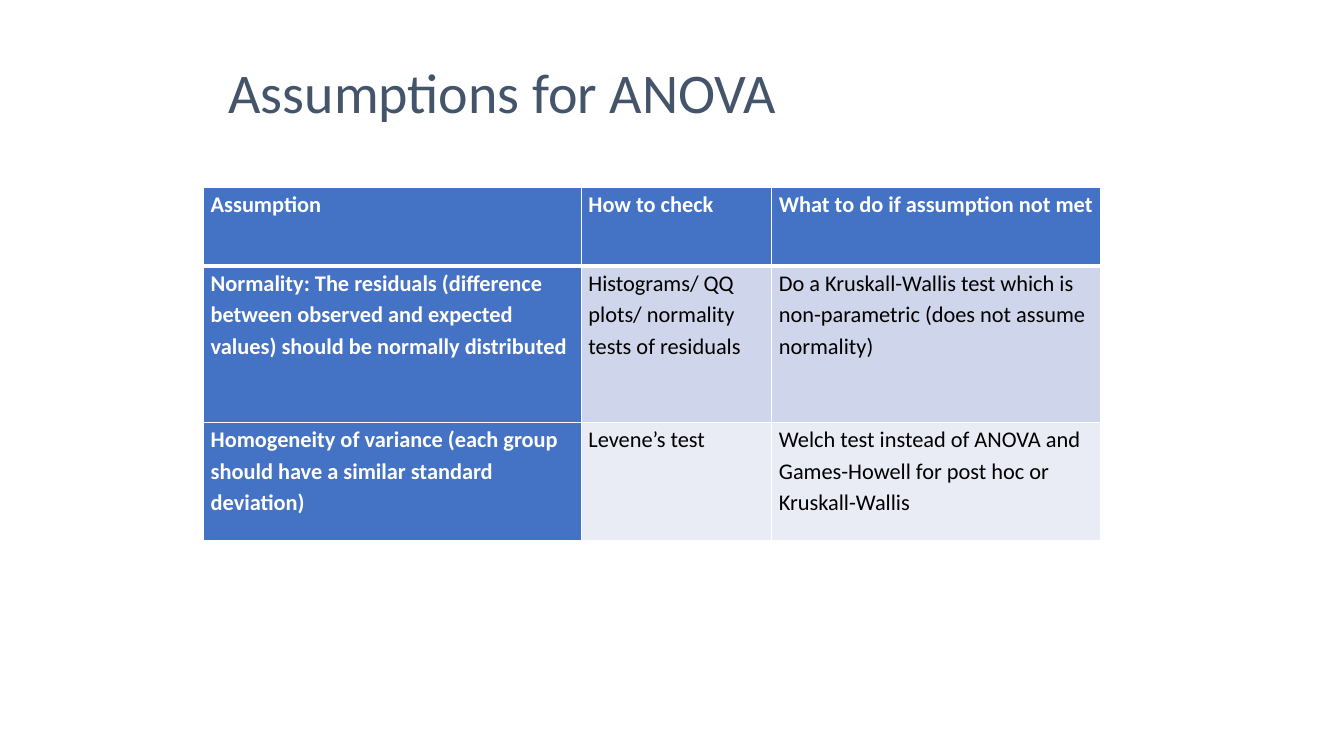
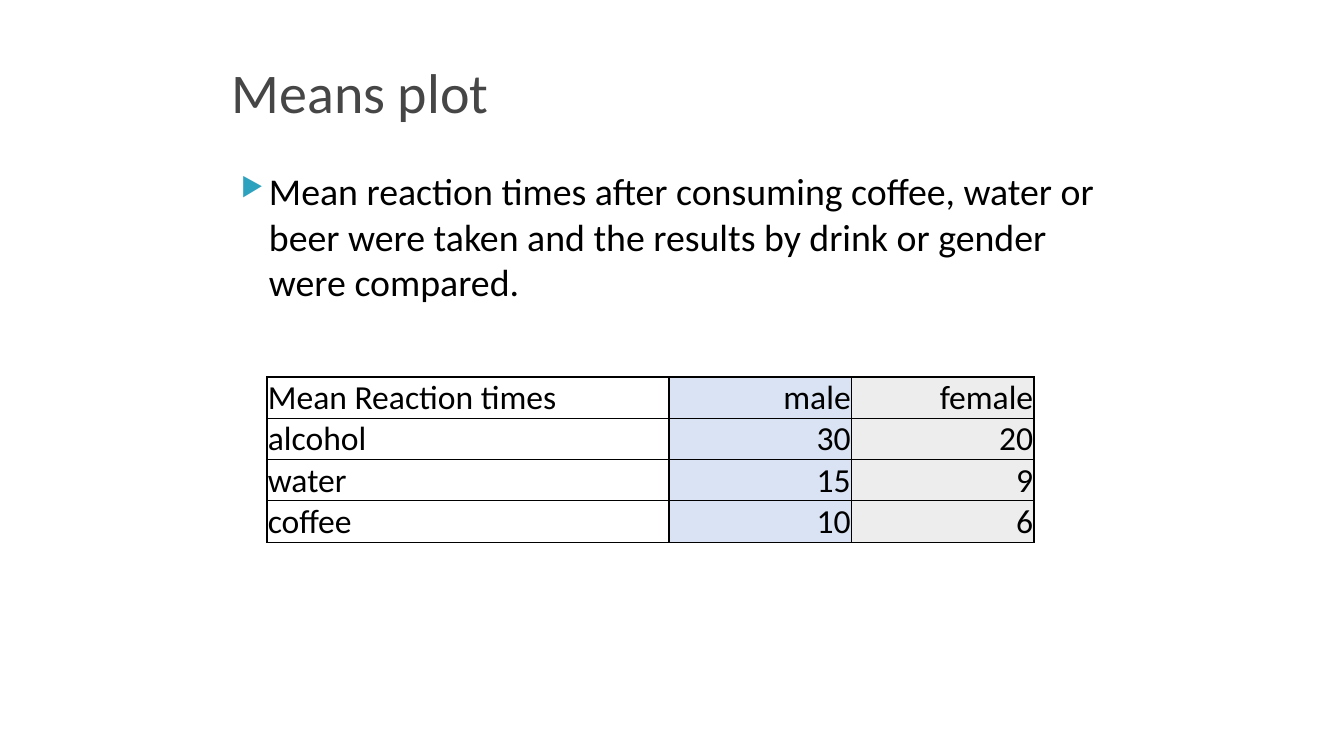
from lxml import etree
from pptx import Presentation
from pptx.dml.color import RGBColor
from pptx.enum import text
from pptx.oxml.ns import qn
from pptx.util import Cm, Pt

FONT = "Calibri"
BLACK, WHITE, BLUE = "000000", "FFFFFF", "4472C4"
SLATE, GREY, TEAL = "44546A", "464646", "2DA2BF"
BAND_FILLS = ["CFD5EA", "E9EBF5"]
COLUMN_FILLS = [WHITE, "DAE3F3", "EDEDED"]
LEFT, RIGHT = text.PP_ALIGN.LEFT, text.PP_ALIGN.RIGHT

ASSUMPTIONS = [
    ("Assumption", "How to check", "What to do if assumption not met"),
    ("Normality: The residuals (difference between observed and expected values) "
     "should be normally distributed",
     "Histograms/ QQ plots/ normality tests of residuals",
     "Do a Kruskall-Wallis test which is non-parametric (does not assume normality)"),
    ("Homogeneity of variance (each group should have a similar standard deviation)",
     "Levene’s test",
     "Welch test instead of ANOVA and Games-Howell for post hoc or Kruskall-Wallis"),
]
INTRO = ("Mean reaction times after consuming coffee, water or beer were taken "
         "and the results by drink or gender were compared.")
REACTION_TIMES = [
    ("Mean Reaction times", "male", "female"),
    ("alcohol", "30", "20"),
    ("water", "15", "9"),
    ("coffee", "10", "6"),
]


def rgb(color):
    return RGBColor.from_string(color)


def write(tf, content, size, color=BLACK, bold=False, align=LEFT,
          spacing=None, before=0, after=0):
    tf.word_wrap = True
    p = tf.paragraphs[0]
    p.alignment = align
    p.line_spacing = spacing
    p.space_before, p.space_after = Pt(before), Pt(after)
    r = p.add_run()
    r.text = content
    r.font.name, r.font.size, r.font.bold = FONT, Pt(size), bold
    r.font.color.rgb = rgb(color)
    return p


def add_text(s, content, left, top, width, height, **fmt):
    box = s.shapes.add_textbox(Cm(left), Cm(top), Cm(width), Cm(height))
    return write(box.text_frame, content, **fmt)


def add_title(s, content, color, left):
    add_text(s, content, left, 1.32, 22.86, 2.62, size=40, color=color)


def add_bullet(p, char, color, percent, left, hanging):
    pPr = p._p.get_or_add_pPr()
    pPr.set("marL", str(Cm(left)))
    pPr.set("indent", str(-Cm(hanging)))
    clr = etree.SubElement(pPr, qn("a:buClr"))
    etree.SubElement(clr, qn("a:srgbClr"), val=color)
    etree.SubElement(pPr, qn("a:buSzPct"), val=str(percent * 1000))
    etree.SubElement(pPr, qn("a:buChar"), char=char)


def add_borders(cell, color, top=1, bottom=1):
    tcPr = cell._tc.get_or_add_tcPr()
    for side, width in (("L", 1), ("R", 1), ("T", top), ("B", bottom)):
        ln = etree.SubElement(tcPr, qn("a:ln" + side), w=str(Pt(width)))
        fill = etree.SubElement(ln, qn("a:solidFill"))
        etree.SubElement(fill, qn("a:srgbClr"), val=color)


def add_table(s, rows, left, top, widths, heights, style):
    """style(row, column) gives a cell's fill, borders, insets, anchor and text format."""
    frame = s.shapes.add_table(len(rows), len(widths), Cm(left), Cm(top),
                               Cm(sum(widths)), Cm(sum(heights)))
    table = frame.table
    table.first_row = table.horz_banding = False
    for column, width in zip(table.columns, widths):
        column.width = Cm(width)
    for i, (row, height) in enumerate(zip(rows, heights)):
        table.rows[i].height = Cm(height)
        for j, content in enumerate(row):
            fill, borders, insets, anchor, fmt = style(i, j)
            cell = table.cell(i, j)
            add_borders(cell, **borders)
            cell.fill.solid()
            cell.fill.fore_color.rgb = rgb(fill)
            (cell.margin_left, cell.margin_top,
             cell.margin_right, cell.margin_bottom) = map(Cm, insets)
            cell.vertical_anchor = anchor
            write(cell.text_frame, content, **fmt)


def assumption_style(i, j):
    heading = i == 0 or j == 0
    borders = dict(color=WHITE, top=3 if i == 1 else 1, bottom=3 if i == 0 else 1)
    fmt = dict(size=16, color=WHITE if heading else BLACK, bold=heading,
               spacing=1.15, after=10)
    fill = BLUE if heading else BAND_FILLS[i - 1]
    return fill, borders, (0.18, 0, 0.18, 0), text.MSO_ANCHOR.TOP, fmt


def reaction_style(i, j):
    fmt = dict(size=24, align=RIGHT if j else LEFT)
    return (COLUMN_FILLS[j], dict(color=BLACK), (0.02, 0.02, 0.02, 0),
            text.MSO_ANCHOR.BOTTOM, fmt)


def main():
    prs = Presentation()
    prs.slide_width, prs.slide_height = Cm(33.87), Cm(19.05)
    blank = prs.slide_layouts[6]

    s = prs.slides.add_slide(blank)
    add_title(s, "Assumptions for ANOVA", SLATE, left=5.51)
    add_table(s, ASSUMPTIONS, 5.13, 4.72, [9.52, 4.8, 8.28], [1.98, 3.94, 2.97],
              assumption_style)

    s = prs.slides.add_slide(blank)
    add_title(s, "Means plot", GREY, left=5.59)
    p = add_text(s, INTRO, 5.51, 4.11, 22.86, 12.57, size=27, before=4)
    add_bullet(p, "▶", TEAL, percent=68, left=1.02, hanging=0.71)
    add_table(s, REACTION_TIMES, 6.73, 9.5, [10.13, 4.6, 4.6],
              [1.04] * len(REACTION_TIMES), reaction_style)

    prs.save("out.pptx")


if __name__ == "__main__":
    main()
